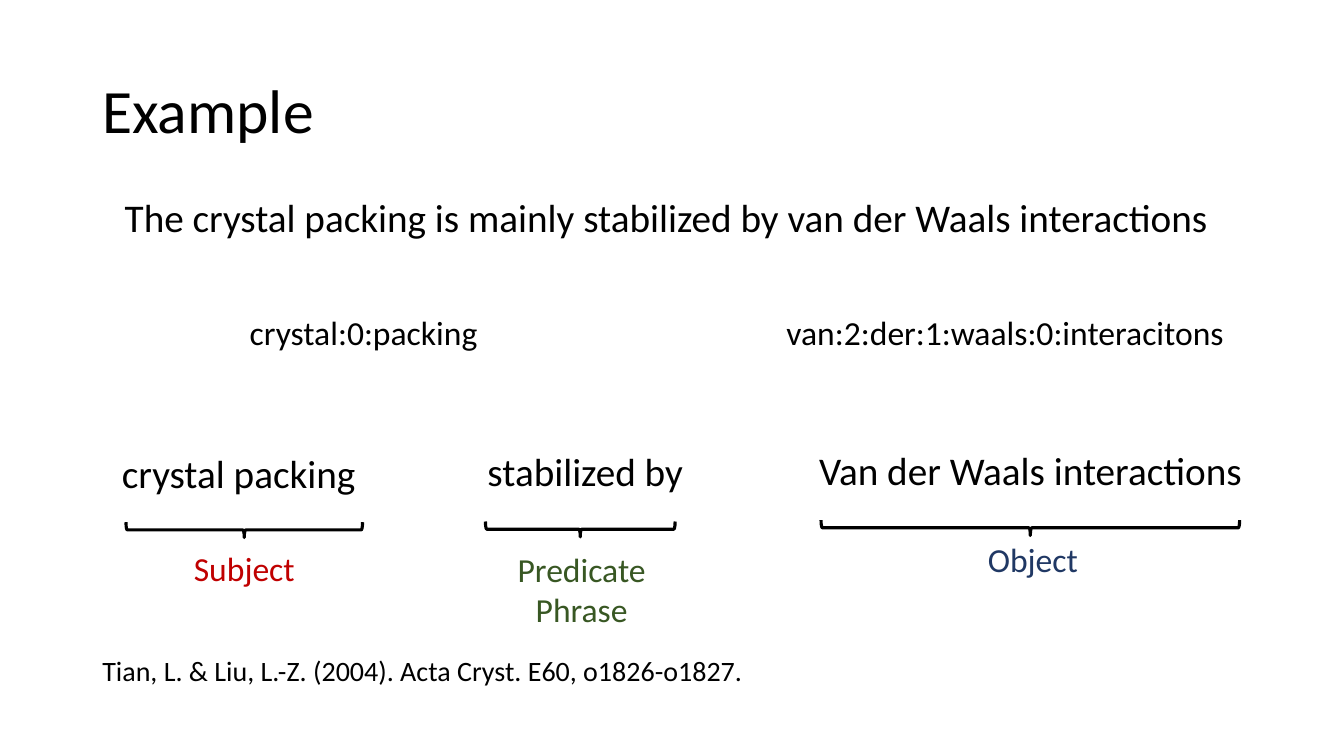
from pptx import Presentation
from pptx import util as u
from pptx.dml.color import RGBColor
from pptx.enum import shapes, text

Pt = u.Pt
LEFT, CENTER = text.PP_ALIGN.LEFT, text.PP_ALIGN.CENTER
BLACK = "000000"
BRACE_DEPTH = 11

# phrase, its box; role, colour, alignment, its box; brace centre and length
TRIPLE = [
    ("crystal packing", (75, 317.5, 191, 41),
     "Subject", "C00000", CENTER, (131, 388, 87, 36), (174.5, 378.5), 169),
    ("stabilized by", (322.5, 316, 191, 41),
     "Predicate Phrase", "385723", CENTER, (331, 388.5, 169, 36), (414.5, 378), 135.5),
    ("Van der Waals interactions", (546, 315.5, 380, 41),
     "Object", "203864", LEFT, (698.5, 381.5, 80, 60), (736, 377), 299),
]


def color(value):
    return RGBColor.from_string(value)


def add_text(parent, words, place, size, align=LEFT, ink=BLACK):
    """Add one paragraph of text in a wrapping box."""
    box = parent.shapes.add_textbox(*map(Pt, place))
    box.text_frame.word_wrap = True
    para = box.text_frame.paragraphs[0]
    para.text = words
    para.alignment = align
    para.font.name = "Calibri"
    para.font.size = Pt(size)
    para.font.color.rgb = color(ink)
    return box


def add_brace(parent, center, length):
    """Add a brace that lies flat and points down."""
    x, y = center
    brace = parent.shapes.add_shape(
        shapes.MSO_SHAPE.LEFT_BRACE, Pt(x - BRACE_DEPTH / 2), Pt(y - length / 2),
        Pt(BRACE_DEPTH), Pt(length))
    brace.rotation = 270
    brace.shadow.inherit = False
    brace.fill.background()
    brace.line.color.rgb = color(BLACK)
    brace.line.width = Pt(2.25)


def add_part(page, phrase, phrase_place, role, ink, align, role_place, center, length):
    """Group a phrase with its brace and role."""
    group = page.shapes.add_group_shape()
    add_text(group, phrase, phrase_place, 28, CENTER)
    add_brace(group, center, length)
    add_text(group, role, role_place, 24, align, ink)


def main():
    deck = Presentation()
    deck.slide_width, deck.slide_height = Pt(960), Pt(540)
    page = deck.slides.add_slide(deck.slide_layouts[6])

    # Title
    title = add_text(page, "Example", (66, 29, 828, 104), 44)
    title.text_frame.vertical_anchor = text.MSO_ANCHOR.MIDDLE
    title.text_frame.paragraphs[0].line_spacing = 0.9

    # Sentence and its noun phrases
    add_text(page, "The crystal packing is mainly stabilized by van der Waals interactions",
             (82, 134.5, 863, 41), 28)
    add_text(page, "crystal:0:packing", (153.5, 219, 212.5, 36), 24, CENTER)
    add_text(page, "van:2:der:1:waals:0:interacitons", (552, 219, 332, 36), 24, CENTER)

    # Subject, predicate and object
    for part in TRIPLE:
        add_part(page, *part)

    # Citation
    add_text(page, "Tian, L. & Liu, L.-Z. (2004). Acta Cryst. E60, o1826-o1827.",
             (66, 463.5, 738, 32), 20)
    deck.save("out.pptx")


if __name__ == "__main__":
    main()
